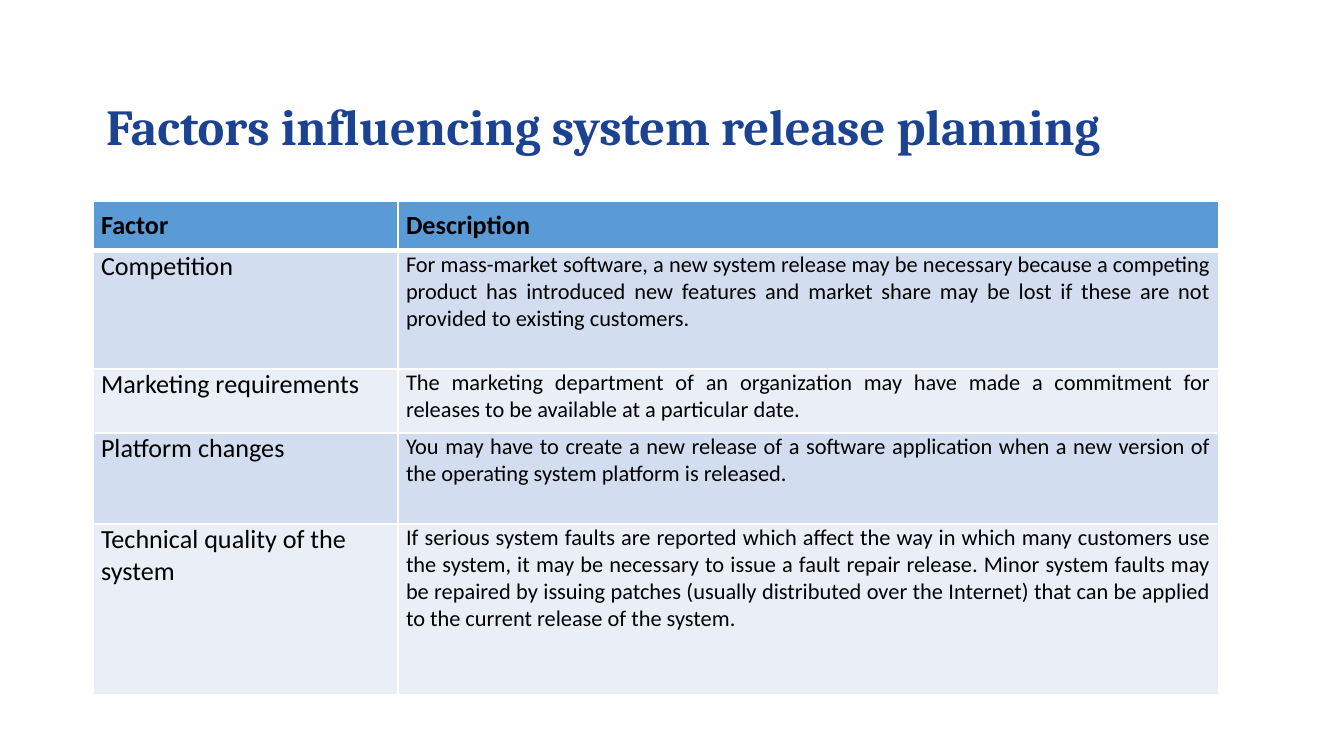
"""Build a slide with a table of factors that influence system release planning."""
from lxml import etree
from pptx import Presentation
from pptx.dml.color import RGBColor
from pptx.enum.text import MSO_ANCHOR, PP_ALIGN
from pptx.oxml.ns import qn
from pptx.util import Pt

JUSTIFY, LEFT = PP_ALIGN.JUSTIFY, PP_ALIGN.LEFT
TOP, MIDDLE = MSO_ANCHOR.TOP, MSO_ANCHOR.MIDDLE
PX = 914400 / 134.4
HEADER_FILL, BAND_FILLS = "5B9BD5", ("EAEFF7", "D2DEEF")

ROWS = [
    ("Factor", "Description", 44),
    ("Competition",
     "For mass-market software, a new system release may be necessary because a competing "
     "product has introduced new features and market share may be lost if these are not "
     "provided to existing customers.", 118),
    ("Marketing requirements",
     "The marketing department of an organization may have made a commitment for releases "
     "to be available at a particular date.", 64),
    ("Platform changes",
     "You may have to create a new release of a software application when a new version of "
     "the operating system platform is released.", 91),
    ("Technical quality of the system",
     "If serious system faults are reported which affect the way in which many customers use "
     "the system, it may be necessary to issue a fault repair release. Minor system faults may "
     "be repaired by issuing patches (usually distributed over the Internet) that can be applied "
     "to the current release of the system.", 171),
]


def px(length):
    return round(length * PX)


def add_run(paragraph, text, font, size, color, bold):
    run = paragraph.add_run()
    run.text = text
    run.font.name = font
    run.font.size = Pt(size)
    run.font.bold = bold
    run.font.color.rgb = RGBColor.from_string(color)


prs = Presentation()
prs.slide_width, prs.slide_height = px(1344), px(756)
slide = prs.slides.add_slide(prs.slide_layouts[6])

heights = [height for _, _, height in ROWS]
factors = slide.shapes.add_table(
    len(ROWS), 2, px(93), px(201), px(1126), px(sum(heights))).table
factors.columns[0].width, factors.columns[1].width = px(305), px(821)

for row, (factor, description, height) in enumerate(ROWS):
    factors.rows[row].height = px(height)
    header = row == 0
    for column, text in enumerate((factor, description)):
        cell = factors.cell(row, column)
        cell.margin_left = cell.margin_right = px(8)
        cell.margin_top = px(9 if header else 0)
        cell.margin_bottom = px(9)
        cell.vertical_anchor = TOP
        paragraph = cell.text_frame.paragraphs[0]
        paragraph.alignment = JUSTIFY if header or column else LEFT
        size = 12 if column and not header else 14
        add_run(paragraph, text, "Calibri", size, "000000", header)

        properties = cell._tc.get_or_add_tcPr()
        for side in ("L", "R", "T", "B"):
            thick = (header and side == "B") or (row == 1 and side == "T")
            border = etree.SubElement(
                properties, qn(f"a:ln{side}"), w=str(Pt(3 if thick else 1)))
            line_fill = etree.SubElement(border, qn("a:solidFill"))
            etree.SubElement(line_fill, qn("a:srgbClr"), val="FFFFFF")
        cell.fill.solid()
        fill = HEADER_FILL if header else BAND_FILLS[row % 2]
        cell.fill.fore_color.rgb = RGBColor.from_string(fill)

title = slide.shapes.add_textbox(px(93), px(83), px(1126), px(93)).text_frame
title.word_wrap = True
title.vertical_anchor = MIDDLE
heading = title.paragraphs[0]
heading.line_spacing = 0.9
add_run(heading, "Factors influencing system release planning", "Cambria", 27, "1C4392", True)

prs.save("out.pptx")
